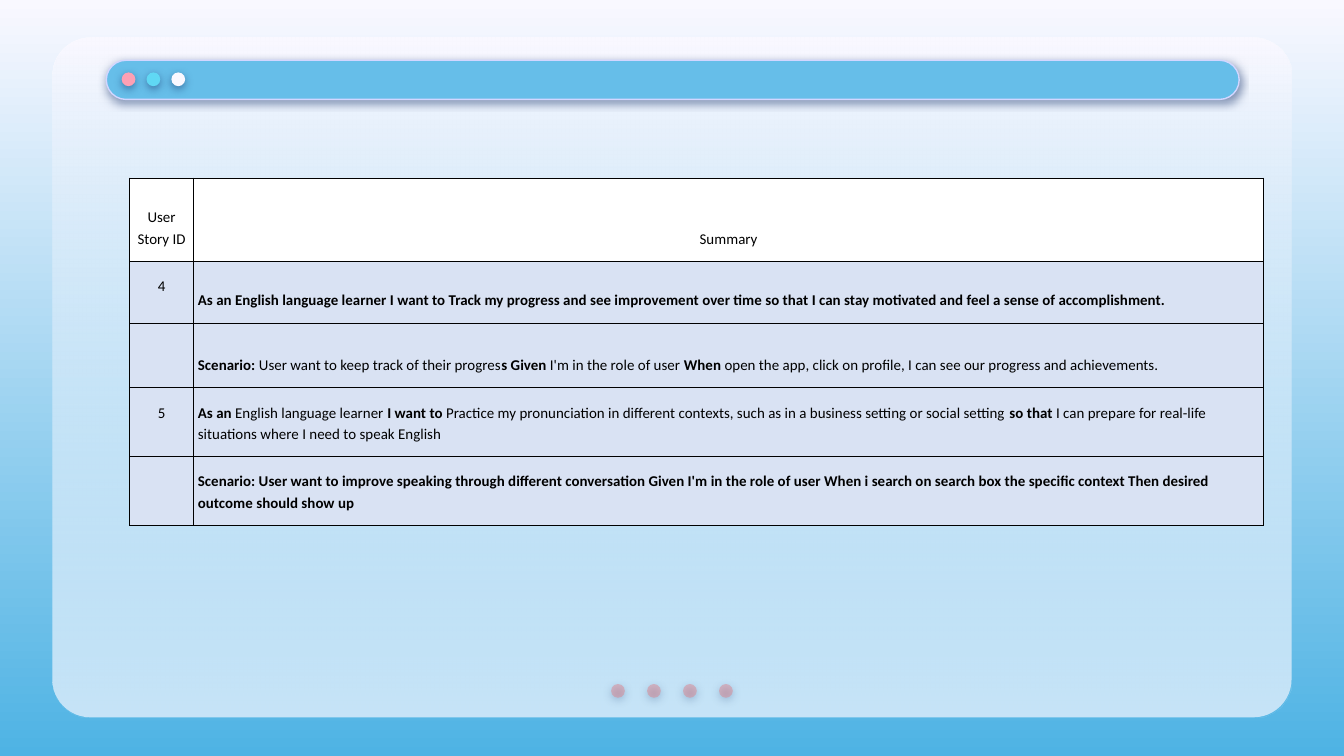
"""Build the user story slide with its window frame and story table."""
from dataclasses import dataclass

from lxml.etree import SubElement
from pptx import Presentation
from pptx.dml.color import RGBColor
from pptx.enum.shapes import MSO_SHAPE
from pptx.enum.text import MSO_ANCHOR, PP_ALIGN
from pptx.oxml import parse_xml
from pptx.oxml.ns import nsdecls, qn
from pptx.util import Cm, Pt

PALE = RGBColor(0xF9, 0xF8, 0xFF)
SKY = RGBColor(0x4E, 0xB3, 0xE4)
BLUE = RGBColor(0x66, 0xBE, 0xE9)
LILAC = RGBColor(0xD2, 0xD6, 0xFF)
NAVY = RGBColor(0x17, 0x33, 0x6B)
ROSE = RGBColor(0xE2, 0x7B, 0x83)
PINK = RGBColor(0xFD, 0xA0, 0xB4)
AQUA = RGBColor(0x60, 0xD8, 0xF4)
WHITE = RGBColor(0xFF, 0xFF, 0xFF)
BLACK = RGBColor(0x00, 0x00, 0x00)
ROW_BLUE = RGBColor(0xD9, 0xE2, 0xF3)

DOT_SIZE = 0.26


@dataclass
class DotRow:
    left: float
    top: float
    pitch: float
    colors: list[RGBColor]
    alpha: int = 100


@dataclass
class StoryRow:
    height: float
    story_id: str
    summary: str
    id_anchor: MSO_ANCHOR = MSO_ANCHOR.TOP
    anchor: MSO_ANCHOR = MSO_ANCHOR.BOTTOM
    align: PP_ALIGN = PP_ALIGN.LEFT
    fill: RGBColor = ROW_BLUE


DOT_ROWS = [
    DotRow(11.55, 12.93, 0.68, [ROSE] * 4, alpha=44),
    DotRow(2.3, 1.37, 0.47, [PINK, AQUA, PALE]),
]

STORIES = [
    StoryRow(1.57, "User Story ID", "Summary", id_anchor=MSO_ANCHOR.BOTTOM,
             align=PP_ALIGN.CENTER, fill=WHITE),
    StoryRow(1.17, "4", "*As an English language learner I want to Track my progress and see "
             "improvement over time so that I can stay motivated and feel a sense of "
             "accomplishment.*"),
    StoryRow(1.22, "", "*Scenario:* User want to keep track of their progres*s Given* I'm in "
             "the role of user* When *open the app, click on profile, I can see our progress "
             "and achievements."),
    StoryRow(1.3, "5", "*As an *English language learner *I want to *Practice my "
             "pronunciation in different contexts, such as in a business setting or social "
             "setting *so that* I can prepare for real-life situations where I need to speak "
             "English", anchor=MSO_ANCHOR.TOP),
    StoryRow(1.3, "", "*Scenario: User want to improve speaking through different "
             "conversation Given I'm in the role of user When i search on search box the "
             "specific context Then desired outcome should show up*"),
]


def set_alpha(color_parent, percent: int) -> None:
    for clr in color_parent.iter(qn("a:srgbClr")):
        SubElement(clr, qn("a:alpha"), val=str(percent * 1000))


def set_gradient(fill, top: RGBColor, bottom: RGBColor) -> None:
    fill.gradient()
    fill.gradient_angle = 270
    for stop, color, position in zip(fill.gradient_stops, (top, bottom), (0, 1)):
        stop.color.rgb = color
        stop.position = position


def add_shape(s, kind, left: float, top: float, width: float, height: float, *,
              fill: RGBColor, alpha: int = 100, line: RGBColor | None = None,
              shadow: bool = False, radius: float | None = None):
    sp = s.shapes.add_shape(kind, Cm(left), Cm(top), Cm(width), Cm(height))
    if radius is not None:
        sp.adjustments[0] = radius
    sp.fill.solid()
    sp.fill.fore_color.rgb = fill
    if alpha < 100:
        set_alpha(sp.fill._xPr.find(qn("a:solidFill")), alpha)
    if line is None:
        sp.line.fill.background()
    else:
        sp.line.color.rgb = line
        sp.line.width = Pt(0.75)
    sp.shadow.inherit = False
    if shadow:
        effects = sp._element.spPr.find(qn("a:effectLst"))
        outer = SubElement(effects, qn("a:outerShdw"), blurRad=str(Pt(4.5)),
                           dist=str(Pt(1.5)), dir="5400000", algn="bl", rotWithShape="0")
        SubElement(outer, qn("a:srgbClr"), val=str(NAVY))
        set_alpha(outer, 50)
    return sp


def add_dots(s, row: DotRow) -> None:
    for i, color in enumerate(row.colors):
        add_shape(s, MSO_SHAPE.OVAL, row.left + i * row.pitch, row.top, DOT_SIZE, DOT_SIZE,
                  fill=color, alpha=row.alpha, shadow=True)


def write_text(tf, text: str, *, align: PP_ALIGN, size: float = 8, font: str = "Calibri",
               color: RGBColor = BLACK) -> None:
    p = tf.paragraphs[0]
    p.alignment = align
    p.line_spacing = 1.15
    for i, part in enumerate(text.split("*")):
        if part:
            r = p.add_run()
            r.text = part
            r.font.name = font
            r.font.size = Pt(size)
            r.font.bold = i % 2 == 1
            r.font.color.rgb = color


def format_cell(cell, text: str, *, fill: RGBColor, anchor: MSO_ANCHOR,
                align: PP_ALIGN) -> None:
    tc_pr = cell._tc.get_or_add_tcPr()
    for side in ("lnL", "lnR", "lnT", "lnB"):
        tc_pr.append(parse_xml(
            f'<a:{side} {nsdecls("a")} w="{Pt(0.75)}"><a:solidFill>'
            f'<a:srgbClr val="{BLACK}"/></a:solidFill></a:{side}>'))
    cell.fill.solid()
    cell.fill.fore_color.rgb = fill
    if text:
        cell.margin_left = cell.margin_right = Cm(0.08)
        cell.margin_top = cell.margin_bottom = Cm(0.25)
        cell.vertical_anchor = anchor
        write_text(cell.text_frame, text, align=align)


def add_story_table(s, left: float, top: float, widths: list[float],
                    stories: list[StoryRow]) -> None:
    height = sum(story.height for story in stories)
    table = s.shapes.add_table(len(stories), len(widths), Cm(left), Cm(top),
                               Cm(sum(widths)), Cm(height)).table
    table.first_row = table.horz_banding = False
    for column, width in zip(table.columns, widths):
        column.width = Cm(width)
    for i, story in enumerate(stories):
        table.rows[i].height = Cm(story.height)
        format_cell(table.cell(i, 0), story.story_id, fill=story.fill,
                    anchor=story.id_anchor, align=PP_ALIGN.CENTER)
        format_cell(table.cell(i, 1), story.summary, fill=story.fill,
                    anchor=story.anchor, align=story.align)


def main() -> None:
    prs = Presentation()
    prs.slide_width, prs.slide_height = Cm(25.4), Cm(14.29)
    s = prs.slides.add_slide(prs.slide_layouts[6])
    set_gradient(s.background.fill, PALE, SKY)

    panel = (MSO_SHAPE.ROUNDED_RECTANGLE, 0.99, 0.71, 23.42, 12.85)
    add_shape(s, *panel, fill=PALE, radius=0.056)
    tint = add_shape(s, *panel, fill=PALE, radius=0.056)
    set_gradient(tint.fill, PALE, BLUE)
    set_alpha(tint._element.spPr.findall(".//" + qn("a:gs"))[-1], 34)

    add_shape(s, MSO_SHAPE.ROUNDED_RECTANGLE, 2.01, 1.14, 21.41, 0.74, fill=BLUE,
              line=LILAC, shadow=True, radius=0.5)
    for row in DOT_ROWS:
        add_dots(s, row)
    add_story_table(s, 2.45, 3.37, [1.21, 20.22], STORIES)
    prs.save("out.pptx")


if __name__ == "__main__":
    main()
